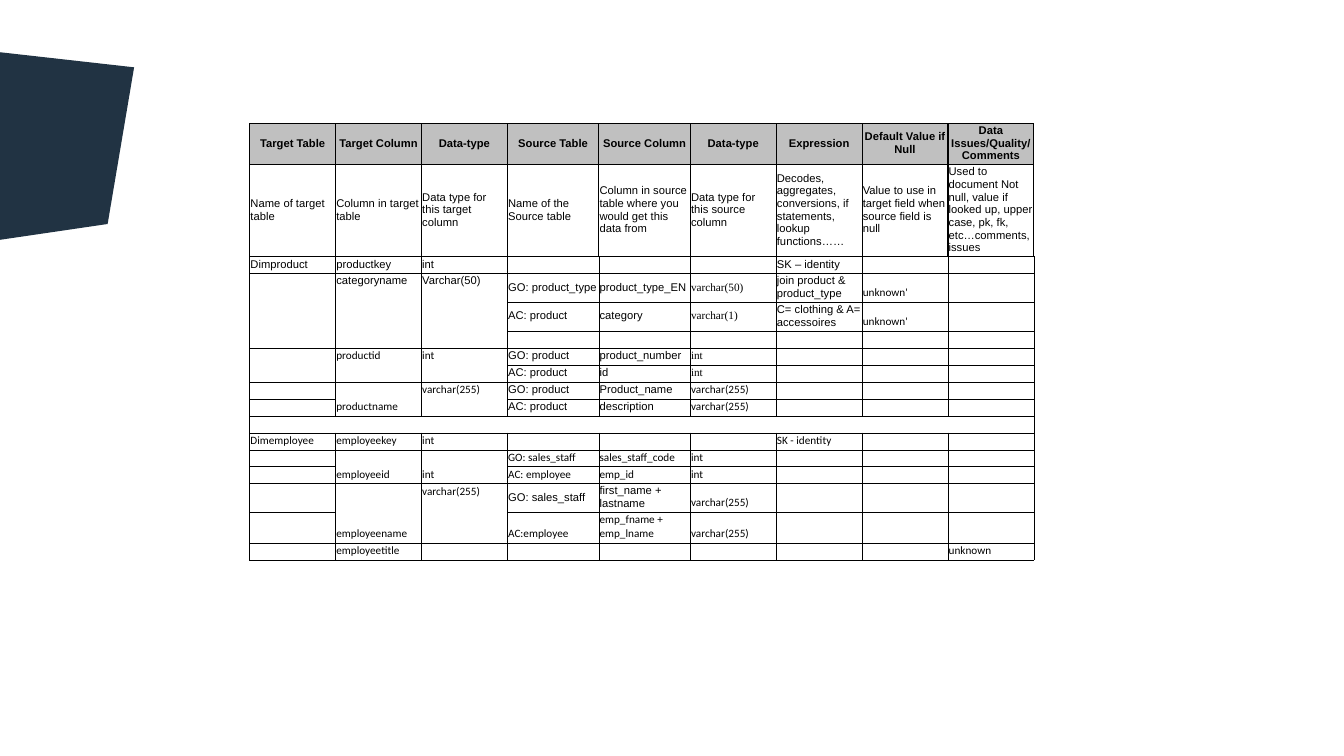
"""Build a slide with a source-to-target mapping table."""
from lxml import etree
from pptx import Presentation
from pptx.dml.color import RGBColor
from pptx.enum.text import MSO_ANCHOR, PP_ALIGN
from pptx.oxml.ns import qn
from pptx.util import Pt

TOP, MID, LOW = MSO_ANCHOR.TOP, MSO_ANCHOR.MIDDLE, MSO_ANCHOR.BOTTOM
CENTER = PP_ALIGN.CENTER

BLACK, GREY, NAVY = "000000", "C0C0C0", "213343"
CORNER = [(0, 37.3), (0, 171.3), (76.9, 160), (95.8, 48.1)]

LEFT, HIGH = 178.4, 88.3
WIDE, SLIM, ROW = 65.35, 61.35, 12
COLS = [SLIM] * 3 + [WIDE] * 2 + [SLIM] * 4
ROWS = [29.2, 65.8, 11.5, 20.5, 20.3] + [ROW] * 9 + [20.3, 22, ROW]
GAP = 10

STYLES = {
    "arial": ("Arial", MID),
    "arial top": ("Arial", TOP),
    "times": ("Times New Roman", MID),
    "calibri": ("Calibri", LOW),
    "calibri top": ("Calibri", TOP),
}
HEADS = ["Target Table", "Target Column", "Data-type", "Source Table",
         "Source Column", "Data-type", "Expression",
         "Default Value if Null", "Data Issues/Quality/Comments"]
HINTS = ["Name of target table", "Column in target table",
         "Data type for this target column", "Name of the Source table",
         "Column in source table where you would get this data from",
         "Data type for this source column",
         "Decodes, aggregates, conversions, if statements, lookup functions……",
         "Value to use in target field when source field is null",
         "Used to document Not null, value if looked up, upper case, pk, fk, "
         "etc…comments, issues"]

# row, first column, style, texts from left to right
TEXTS = [
    (0, 0, "arial", HEADS),
    (1, 0, "arial", HINTS),
    (2, 0, "arial", ["Dimproduct", "productkey", "int"]),
    (2, 6, "arial", ["SK – identity"]),
    (3, 1, "arial top", ["categoryname", "Varchar(50)"]),
    (3, 3, "arial", ["GO: product_type", "product_type_EN"]),
    (3, 5, "times", ["varchar(50)"]),
    (3, 6, "arial", ["join product & product_type"]),
    (3, 7, "calibri", ["unknown'"]),
    (4, 3, "arial", ["AC: product", "category"]),
    (4, 5, "times", ["varchar(1)"]),
    (4, 6, "arial", ["C= clothing & A= accessoires"]),
    (4, 7, "calibri", ["unknown'"]),
    (6, 1, "calibri top", ["productid", "int"]),
    (6, 3, "arial", ["GO: product", "product_number"]),
    (6, 5, "times", ["int"]),
    (7, 3, "arial", ["AC: product", "id"]),
    (7, 5, "times", ["int"]),
    (8, 1, "calibri", ["productname"]),
    (8, 2, "calibri top", ["varchar(255)"]),
    (8, 3, "arial", ["GO: product", "Product_name"]),
    (8, 5, "calibri", ["varchar(255)"]),
    (9, 3, "arial", ["AC: product", "description"]),
    (9, 5, "calibri", ["varchar(255)"]),
    (11, 0, "calibri", ["Dimemployee", "employeekey", "int"]),
    (11, 6, "calibri", ["SK - identity"]),
    (12, 1, "calibri", ["employeeid", "int", "GO: sales_staff",
                        "sales_staff_code", "int"]),
    (13, 3, "calibri", ["AC: employee", "emp_id", "int"]),
    (14, 1, "calibri", ["employeename"]),
    (14, 2, "calibri top", ["varchar(255)"]),
    (14, 3, "arial", ["GO: sales_staff", "first_name + lastname"]),
    (14, 5, "calibri", ["varchar(255)"]),
    (15, 3, "calibri", ["AC:employee", "emp_fname + emp_lname",
                        "varchar(255)"]),
    (16, 1, "calibri", ["employeetitle"]),
    (16, 8, "calibri", ["unknown"]),
]
# row, first column, rows joined; each runs up to the third column
SPANS = [(3, 0, 3), (6, 0, 2), (8, 1, 2), (12, 1, 2), (14, 1, 2)]


def paint(fill, color):
    """Fill with one solid colour."""
    fill.solid()
    fill.fore_color.rgb = RGBColor.from_string(color)


def edge(cell, side, width):
    """Draw one cell border, or none when the width is zero."""
    line = etree.SubElement(cell._tc.get_or_add_tcPr(), qn("a:ln" + side),
                            w=str(int(Pt(width))))
    if width:
        fill = etree.SubElement(line, qn("a:solidFill"))
        etree.SubElement(fill, qn("a:srgbClr"), val=BLACK)
    else:
        etree.SubElement(line, qn("a:noFill"))


def frame(cell, row, col):
    """Set the borders, fill and margins of a cell."""
    inner = {"L": col > 0, "R": col < len(COLS) - 1}
    for side in "LRTB":
        width = 1 if row == 0 or (row == 1 and side != "B") else 0.5
        edge(cell, side, 0 if row == GAP and inner.get(side) else width)
    if row == 0:
        paint(cell.fill, GREY)
    else:
        cell.fill.background()
    cell.margin_left = cell.margin_right = cell.margin_top = Pt(0.5)
    cell.margin_bottom = Pt(1.8)


def write(cell, text, style, head):
    """Put styled text in a cell."""
    name, cell.vertical_anchor = STYLES[style]
    cell.text = text
    para = cell.text_frame.paragraphs[0]
    font = para.font
    font.name, font.size, font.bold = name, Pt(8), head
    font.color.rgb = RGBColor.from_string(BLACK)
    if head:
        para.alignment = CENTER


def main():
    """Draw the corner shape and the table."""
    deck = Presentation()
    deck.slide_width, deck.slide_height = Pt(960), Pt(540)
    slide = deck.slides.add_slide(deck.slide_layouts[6])

    pen = slide.shapes.build_freeform(*map(Pt, CORNER[0]))
    pen.add_line_segments([(Pt(x), Pt(y)) for x, y in CORNER[1:]])
    corner = pen.convert_to_shape()
    corner.shadow.inherit = False
    paint(corner.fill, NAVY)
    corner.line.fill.background()

    grid = slide.shapes.add_table(
        len(ROWS), len(COLS), Pt(LEFT), Pt(HIGH),
        Pt(sum(COLS)), Pt(sum(ROWS))).table
    grid.first_row = grid.horz_banding = False
    for col, width in zip(grid.columns, COLS):
        col.width = Pt(width)
    for row, height in zip(grid.rows, ROWS):
        row.height = Pt(height)

    texts = {(row, first + i): (text, style)
             for row, first, style, line in TEXTS
             for i, text in enumerate(line)}
    for row in range(len(ROWS)):
        for col in range(len(COLS)):
            cell = grid.cell(row, col)
            frame(cell, row, col)
            if (row, col) in texts:
                write(cell, *texts[row, col], row == 0)
            else:
                para = cell.text_frame.paragraphs[0]
                etree.SubElement(para._p, qn("a:endParaRPr"), sz="800")
    for row, first, count in SPANS:
        for col in range(first, 3):
            grid.cell(row, col).merge(grid.cell(row + count - 1, col))
    deck.save("out.pptx")


if __name__ == "__main__":
    main()
